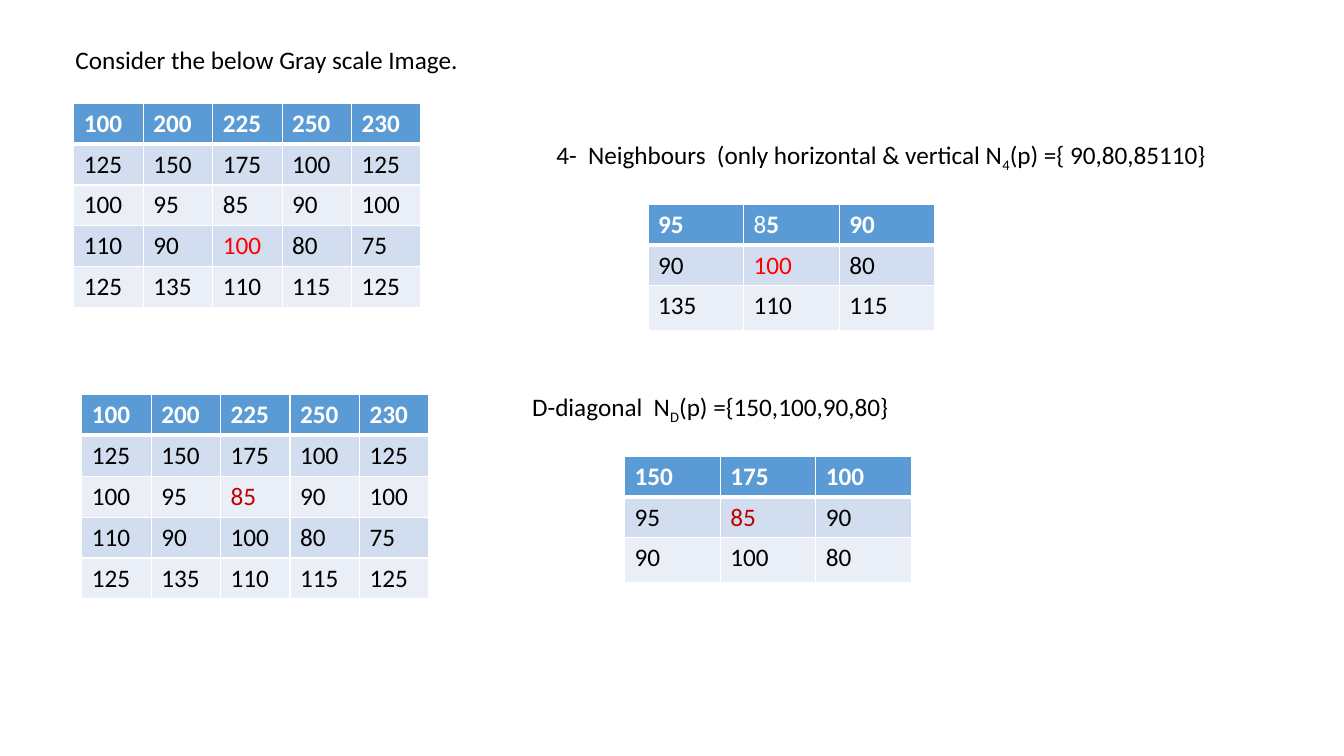
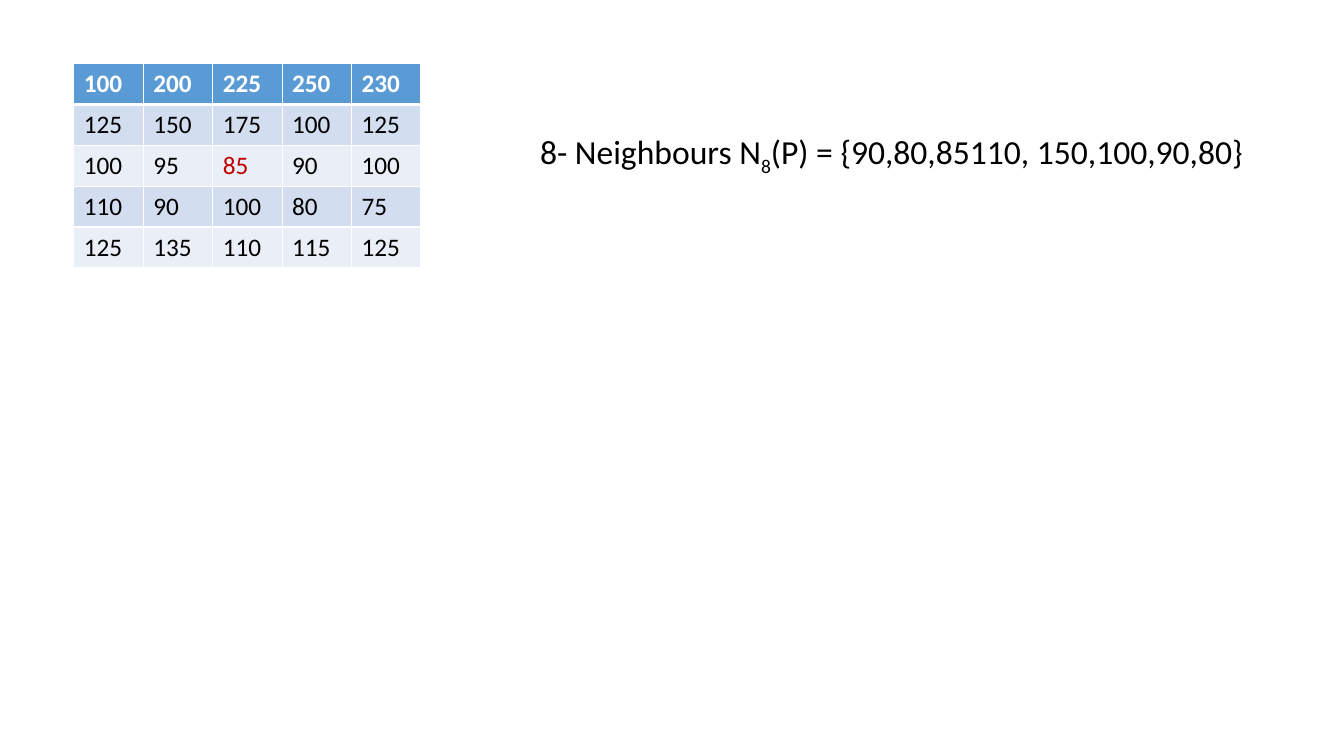
from pptx import Presentation
from pptx.dml.color import RGBColor
from pptx.oxml import parse_xml
from pptx.oxml.ns import nsdecls
from pptx.util import Cm, Pt

FONT = "Calibri"
BLACK = RGBColor(0x00, 0x00, 0x00)
WHITE = RGBColor(0xFF, 0xFF, 0xFF)
RED = RGBColor(0xFF, 0x00, 0x00)
DARK_RED = RGBColor(0xC0, 0x00, 0x00)
HEADER_BLUE = RGBColor(0x5B, 0x9B, 0xD5)
BANDS = (RGBColor(0xEA, 0xEF, 0xF7), RGBColor(0xD2, 0xDE, 0xEF))

GRAY_LEVELS = (
    (100, 200, 225, 250, 230),
    (125, 150, 175, 100, 125),
    (100, 95, 85, 90, 100),
    (110, 90, 100, 80, 75),
    (125, 135, 110, 115, 125),
)
IMAGE_COLUMN = 1.75
IMAGE_ROWS = (1.03,) * 5
WINDOW_COLUMN = 2.41
WINDOW_ROWS = (1.02, 1.02, 1.13)


def format_run(run, size=18, color=BLACK, bold=False):
    """Apply the shared font to a run."""
    run.font.name = FONT
    run.font.size = Pt(size)
    run.font.color.rgb = color
    run.font.bold = bold


def add_borders(cell, top, bottom):
    """Draw white borders round a cell, with top and bottom widths in points."""
    properties = cell._tc.get_or_add_tcPr()
    for side, width in (("L", 1), ("R", 1), ("T", top), ("B", bottom)):
        properties.append(parse_xml(
            f'<a:ln{side} {nsdecls("a")} w="{Pt(width)}"><a:solidFill>'
            f'<a:srgbClr val="{WHITE}"/></a:solidFill></a:ln{side}>'))


def add_pixel_table(slide, left, top, values, column_width, row_heights, center, center_color):
    """Add a banded table of gray levels with its centre pixel coloured."""
    columns = len(values[0])
    frame = slide.shapes.add_table(
        len(values), columns, Cm(left), Cm(top),
        Cm(column_width * columns), Cm(sum(row_heights)))
    table = frame.table
    for column in table.columns:
        column.width = Cm(column_width)
    for row_index, row_values in enumerate(values):
        table.rows[row_index].height = Cm(row_heights[row_index])
        header = row_index == 0
        for column_index, value in enumerate(row_values):
            cell = table.cell(row_index, column_index)
            add_borders(cell, 3 if row_index == 1 else 1, 3 if header else 1)
            cell.fill.solid()
            cell.fill.fore_color.rgb = HEADER_BLUE if header else BANDS[row_index % 2]
            cell.text_frame.text = str(value)
            color = WHITE if header else BLACK
            if (row_index, column_index) == center:
                color = center_color
            format_run(cell.text_frame.paragraphs[0].runs[0], color=color, bold=header)
    return table


def add_image_table(slide, left, top, center=(2, 2), center_color=DARK_RED):
    """Add the whole gray scale image as a table."""
    add_pixel_table(slide, left, top, GRAY_LEVELS, IMAGE_COLUMN, IMAGE_ROWS, center, center_color)


def add_window_table(slide, left, top, values, center_color):
    """Add the 3 by 3 window round a pixel as a table."""
    return add_pixel_table(
        slide, left, top, values, WINDOW_COLUMN, WINDOW_ROWS, (1, 1), center_color)


def add_statement(slide, left, top, width, height, text, subscript="", rest="", size=18):
    """Add a line of text with an optional subscript inside it."""
    box = slide.shapes.add_textbox(Cm(left), Cm(top), Cm(width), Cm(height))
    box.text_frame.word_wrap = True
    paragraph = box.text_frame.paragraphs[0]
    for part in filter(None, (text, subscript, rest)):
        run = paragraph.add_run()
        run.text = part
        format_run(run, size)
        if part == subscript:
            run._r.get_or_add_rPr().set("baseline", "-25000")


def add_four_neighbours(slide, left, top):
    """Place the 4-neighbour set and its window."""
    add_statement(slide, left, top, 17.65, 1.02,
                  "4-  Neighbours  (only horizontal & vertical N", "4", "(p) ={ 90,80,85110}")
    table = add_window_table(slide, left + 2.56, top + 1.78,
                             ((95, 85, 90), (90, 100, 80), (135, 110, 115)), RED)
    paragraph = table.cell(0, 1).text_frame.paragraphs[0]
    first_digit = paragraph.runs[0]
    first_digit.text = "8"
    first_digit.font.bold = False
    second_digit = paragraph.add_run()
    second_digit.text = "5"
    format_run(second_digit, color=WHITE, bold=True)


def add_diagonal_neighbours(slide, left, top):
    """Place the diagonal neighbour set and its window."""
    add_statement(slide, left, top, 16.94, 1.02,
                  "D-diagonal  N", "D", "(p) ={150,100,90,80}")
    add_window_table(slide, left + 2.58, top + 1.78,
                     ((150, 175, 100), (95, 85, 90), (90, 100, 80)), DARK_RED)


def build_four_and_diagonal(slide):
    """Fill the slide on 4-neighbours and diagonal neighbours."""
    add_statement(slide, 1.65, 1, 11.5, 1.02, "Consider the below Gray scale Image.")
    add_image_table(slide, 1.86, 2.6, (3, 2), RED)
    add_four_neighbours(slide, 13.77, 3.38)
    add_image_table(slide, 2.06, 9.94)
    add_diagonal_neighbours(slide, 13.16, 9.73)


def build_eight(slide):
    """Fill the slide on 8-neighbours."""
    add_image_table(slide, 1.86, 1.6)
    add_statement(slide, 13.36, 3.18, 18.64, 1.28,
                  "8- Neighbours N", "8", "(P) = {90,80,85110, 150,100,90,80}", size=24)


def main():
    """Build and save the presentation."""
    presentation = Presentation()
    presentation.slide_width = Cm(33.87)
    presentation.slide_height = Cm(19.05)
    for build in (build_four_and_diagonal, build_eight):
        build(presentation.slides.add_slide(presentation.slide_layouts[6]))
    presentation.save("out.pptx")


if __name__ == "__main__":
    main()
